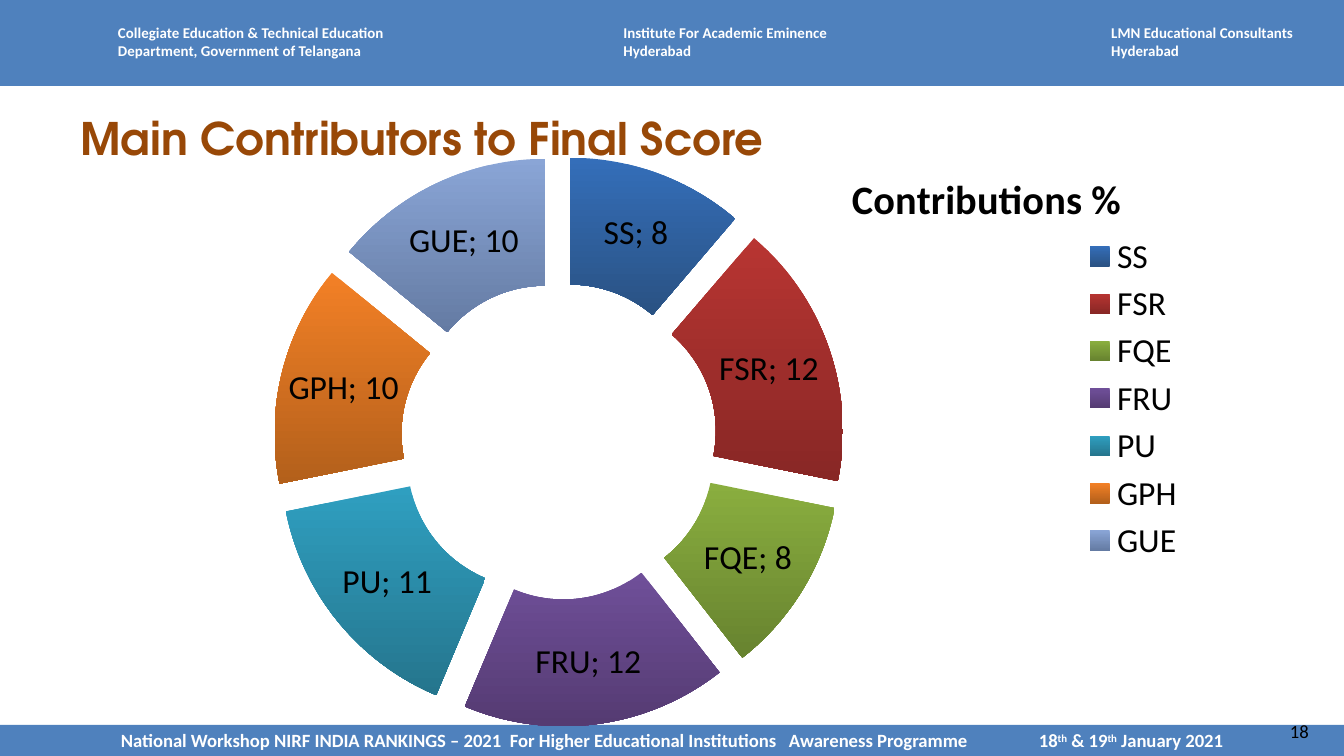
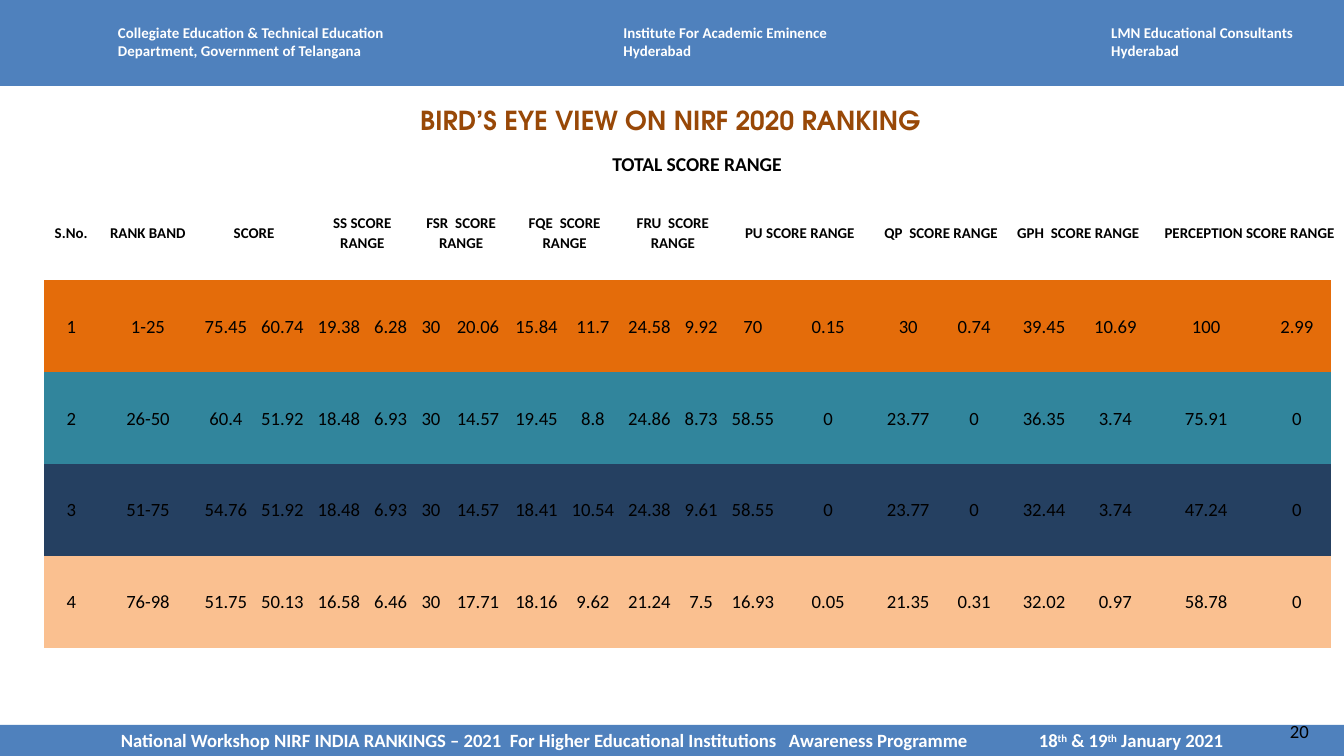
import pptx
import pptx.util
import pptx.chart.data
import pptx.dml.color
import pptx.enum.chart
import pptx.enum.shapes
import pptx.enum.text
import pptx.oxml
import pptx.oxml.ns

# ---- Content ----
COLORS = {"band": "4F81BD", "title": "984807", "white": "FFFFFF", "black": "000000",
          "orange": "E46C0A", "teal": "31859C", "navy": "254061", "peach": "FAC090"}
BODY, DISPLAY = "Calibri", "TeX Gyre Adventor"
WIDTH = 10
HEIGHT = WIDTH * 9 / 16
TOP_BAND, BOTTOM_BAND = 0.64, 0.23

# Left edge, width and lines of each organiser in the top band
ORGANISERS = [
    (0.78, 2.26, ["Collegiate Education & Technical Education",
                  "Department, Government of Telangana"]),
    (4.54, 1.76, ["Institute For Academic Eminence", "Hyderabad"]),
    (8.17, 1.67, ["LMN Educational Consultants", "Hyderabad"]),
]
# Pieces of the footer line; True marks a raised piece
FOOTER = [("National Workshop NIRF INDIA RANKINGS – 2021  For Higher Educational "
           "Institutions   Awareness Programme\t18", False),
          ("th", True), (" & 19", False), ("th", True), (" January 2021", False)]
FOOTER_LEFT, DATE_LEFT = 0.9, 7.73

# Category, value, gradient top and bottom
CONTRIBUTIONS = [
    ("SS", 8, "346EB9", "2A5283"),
    ("FSR", 12, "B83532", "882725"),
    ("FQE", 8, "8AAE3F", "67832F"),
    ("FRU", 12, "6F4F99", "553B72"),
    ("PU", 11, "2F9FC0", "25758D"),
    ("GPH", 10, "F38026", "B3601B"),
    ("GUE", 10, "8AA5D6", "647BA3"),
]

# Heading and number of columns it covers
HEADINGS = [("S.No.", 1), ("RANK BAND", 1), ("SCORE", 2), ("SS SCORE RANGE", 2),
            ("FSR  SCORE RANGE", 2), ("FQE  SCORE RANGE", 2), ("FRU  SCORE RANGE", 2),
            ("PU SCORE RANGE", 2), ("QP  SCORE RANGE", 2), ("GPH  SCORE RANGE", 2),
            ("PERCEPTION SCORE RANGE", 3)]
RANK_BANDS = [
    ("orange", "1 1-25 75.45 60.74 19.38 6.28 30 20.06 15.84 11.7 24.58 9.92 "
               "70 0.15 30 0.74 39.45 10.69 100 2.99"),
    ("teal", "2 26-50 60.4 51.92 18.48 6.93 30 14.57 19.45 8.8 24.86 8.73 "
             "58.55 0 23.77 0 36.35 3.74 75.91 0"),
    ("navy", "3 51-75 54.76 51.92 18.48 6.93 30 14.57 18.41 10.54 24.38 9.61 "
             "58.55 0 23.77 0 32.44 3.74 47.24 0"),
    ("peach", "4 76-98 51.75 50.13 16.58 6.46 30 17.71 18.16 9.62 21.24 7.5 "
              "16.93 0.05 21.35 0.31 32.02 0.97 58.78 0"),
]
COLUMN_WIDTHS = [0.4, 0.74, 0.42, 0.42, 0.42, 0.35, 0.25, 0.45, 0.42, 0.42, 0.42,
                 0.35, 0.42, 0.7, 0.49, 0.49, 0.55, 0.51, 0.84, 0.51, 0.09]
ROW_HEIGHTS = [0.32, 0.7] + [0.68] * len(RANK_BANDS)
TABLE_WIDTH, TABLE_HEIGHT = 9.67, 3.76
NO_GRID_STYLE = "{2D5ABB26-0587-4C30-8999-92F81FD0307C}"

ALIGN = pptx.enum.text.PP_ALIGN
ANCHOR = pptx.enum.text.MSO_ANCHOR
inch = pptx.util.Inches


# ---- Helpers ----
def rgb(value):
    return pptx.dml.color.RGBColor.from_string(COLORS.get(value, value))


def style(font, size, color="black", bold=False, face=BODY):
    font.size, font.bold, font.name = pptx.util.Pt(size), bold, face
    font.color.rgb = rgb(color)


def write(frame, lines, align=ALIGN.LEFT, anchor=ANCHOR.TOP, spacing=None, **font):
    """Fill a text frame; a line is a string or a list of (text, raised) pieces."""
    frame.word_wrap, frame.vertical_anchor = True, anchor
    for number, line in enumerate(lines):
        paragraph = frame.add_paragraph() if number else frame.paragraphs[0]
        paragraph.alignment = align
        if spacing:
            paragraph.line_spacing = spacing
        for text, raised in [(line, False)] if isinstance(line, str) else line:
            run = paragraph.add_run()
            run.text = text
            style(run.font, **font)
            if raised:
                run.font._element.set("baseline", "30000")


def text_box(slide, left, top, width, height, lines, **format):
    box = slide.shapes.add_textbox(*map(inch, (left, top, width, height)))
    write(box.text_frame, lines, **format)


def band(slide, top, height):
    bar = slide.shapes.add_shape(pptx.enum.shapes.MSO_SHAPE.RECTANGLE,
                                 *map(inch, (0, top, WIDTH, height)))
    bar.shadow.inherit = False
    bar.fill.solid()
    bar.fill.fore_color.rgb = rgb("band")
    bar.line.fill.background()
    return bar


def new_slide(deck, page, title, place, **format):
    """Title-only slide with both bands, the page number and the title."""
    slide = deck.slides.add_slide(deck.slide_layouts[5])
    band(slide, 0, TOP_BAND)
    for left, width, lines in ORGANISERS:
        text_box(slide, left, 0.13, width, 0.37, lines,
                 size=8, color="white", bold=True)

    footer = band(slide, HEIGHT - BOTTOM_BAND, BOTTOM_BAND).text_frame
    footer.margin_left, footer.margin_right = inch(FOOTER_LEFT), 0
    footer.margin_top = footer.margin_bottom = 0
    write(footer, [FOOTER], anchor=ANCHOR.MIDDLE, size=10, color="white", bold=True)
    stop = inch(DATE_LEFT - FOOTER_LEFT)
    footer.paragraphs[0]._p.get_or_add_pPr().append(pptx.oxml.parse_xml(
        f'<a:tabLst {pptx.oxml.ns.nsdecls("a")}><a:tab pos="{stop}" algn="l"/></a:tabLst>'))
    text_box(slide, 9.5, 5.31, 0.5, 0.27, [str(page)], size=10)

    heading = slide.shapes.title
    heading.left, heading.top, heading.width, heading.height = map(inch, place)
    heading.text_frame.auto_size = pptx.enum.text.MSO_AUTO_SIZE.NONE
    write(heading.text_frame, [title], color="title", bold=True, face=DISPLAY, **format)
    return slide


def layout_xml(x, y, w=None, h=None):
    """Manual chart layout, in shares of the chart's size."""
    parts = "" if w is None else '<c:layoutTarget val="inner"/>'
    parts += '<c:xMode val="edge"/><c:yMode val="edge"/>'
    parts += "".join(f'<c:{key} val="{value}"/>'
                     for key, value in zip("xywh", (x, y, w, h)) if value is not None)
    return pptx.oxml.parse_xml(f'<c:layout {pptx.oxml.ns.nsdecls("c")}>'
                               f'<c:manualLayout>{parts}</c:manualLayout></c:layout>')


def drop_layout(element):
    for old in element.findall(pptx.oxml.ns.qn("c:layout")):
        element.remove(old)


def add_ring(slide):
    data = pptx.chart.data.CategoryChartData()
    data.categories = [row[0] for row in CONTRIBUTIONS]
    data.add_series("Series 1", [row[1] for row in CONTRIBUTIONS])
    chart = slide.shapes.add_chart(pptx.enum.chart.XL_CHART_TYPE.DOUGHNUT,
                                   *map(inch, (0.42, 0.31, 8.5, 5.31)), data).chart
    style(chart.font, 18)
    plot = chart.plots[0]
    plot.vary_by_categories = True
    ring = plot.series[0]

    # Slices, pulled apart
    for number, (_, _, top, bottom) in enumerate(CONTRIBUTIONS):
        fill = ring.points[number].format.fill
        fill.gradient()
        fill.gradient_angle = 270
        for stop, color, place in zip(fill.gradient_stops, (top, bottom), (0, 1)):
            stop.color.rgb, stop.position = rgb(color), place
    ring._element.find(pptx.oxml.ns.qn("c:dPt")).addprevious(pptx.oxml.parse_xml(
        f'<c:explosion {pptx.oxml.ns.nsdecls("c")} val="25"/>'))

    # Labels
    labels = ring.data_labels
    labels.show_category_name = labels.show_value = True
    labels.show_percentage = False
    style(labels.font, 18)
    labels._element.find(pptx.oxml.ns.qn("c:showBubbleSize")).addnext(pptx.oxml.parse_xml(
        f'<c:separator {pptx.oxml.ns.nsdecls("c")}>; </c:separator>'))

    # Legend, title and places
    chart.has_legend = True
    chart.legend.position = pptx.enum.chart.XL_LEGEND_POSITION.RIGHT
    chart.legend.include_in_layout = False
    style(chart.legend.font, 18)
    caption = chart.chart_title
    write(caption.text_frame, ["Contributions %"], size=21.6, bold=True)
    drop_layout(caption._element)
    caption._element.find(pptx.oxml.ns.qn("c:tx")).addnext(layout_xml(0.69, 0.17))
    area = plot._element.getparent()
    drop_layout(area)
    area.insert(0, layout_xml(0.19, 0.16, 0.5, 0.8))


def add_scores(slide):
    table = slide.shapes.add_table(
        len(ROW_HEIGHTS), len(COLUMN_WIDTHS), inch(0.33), inch(1.06),
        inch(TABLE_WIDTH), inch(TABLE_HEIGHT)).table
    table.first_row = table.horz_banding = False
    table._tbl.tblPr.find(pptx.oxml.ns.qn("a:tableStyleId")).text = NO_GRID_STYLE
    # Widths and heights are scaled to fill the table exactly
    for column, width in zip(table.columns, COLUMN_WIDTHS):
        column.width = inch(width * TABLE_WIDTH / sum(COLUMN_WIDTHS))
    for row, height in zip(table.rows, ROW_HEIGHTS):
        row.height = inch(height * TABLE_HEIGHT / sum(ROW_HEIGHTS))
    for cell in table.iter_cells():
        cell.margin_left = cell.margin_right = inch(0.05)
        cell.margin_top = cell.margin_bottom = 0
        cell.fill.background()

    def put(row, column, text, span=1, **font):
        cell = table.cell(row, column)
        if span > 1:
            cell.merge(table.cell(row, column + span - 1))
        write(cell.text_frame, [text], align=ALIGN.CENTER, spacing=1.07, **font)
        cell.vertical_anchor = ANCHOR.MIDDLE
        return cell

    put(0, 0, "TOTAL SCORE RANGE", len(COLUMN_WIDTHS), size=10.5, bold=True)
    column = 0
    for heading, span in HEADINGS:
        put(1, column, heading, span, size=8, bold=True)
        column += span
    for row, (color, scores) in enumerate(RANK_BANDS, 2):
        for column, score in enumerate(scores.split()):
            cell = put(row, column, score, size=10)
            cell.fill.solid()
            cell.fill.fore_color.rgb = rgb(color)


# ---- Slides ----
deck = pptx.Presentation()
deck.slide_width, deck.slide_height = inch(WIDTH), inch(HEIGHT)

add_ring(new_slide(deck, 18, "Main Contributors to Final Score",
                   (0.5, 0.77, 9, 0.94), size=24))
add_scores(new_slide(deck, 20, "BIRD’S EYE VIEW ON NIRF 2020 RANKING",
                     (0.49, 0.73, 9, 0.29), size=14, align=ALIGN.CENTER))

deck.save("out.pptx")
